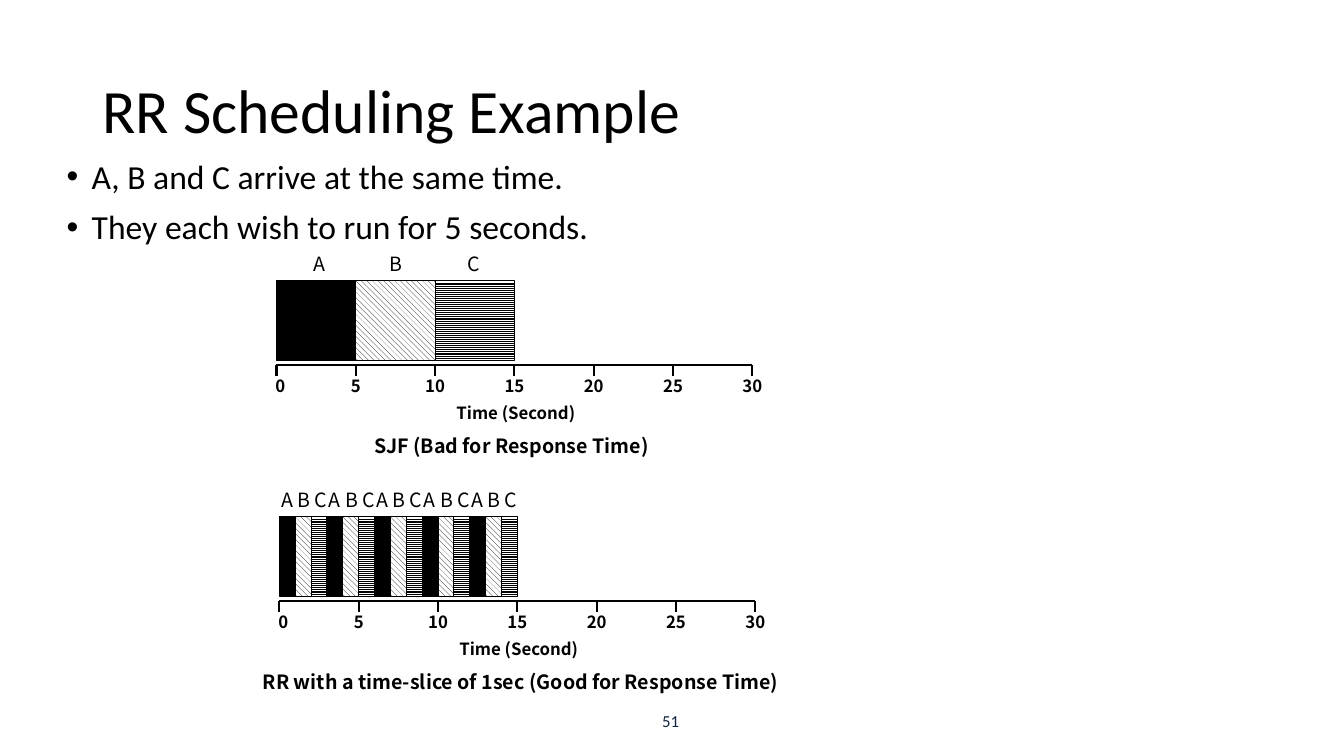
from dataclasses import dataclass
from itertools import product
from typing import Optional

from pptx import Presentation
from pptx.dml.color import RGBColor
from pptx.enum.dml import MSO_PATTERN as Pattern
from pptx.enum.shapes import MSO_CONNECTOR as Connector, MSO_SHAPE as Shape
from pptx.enum.text import MSO_ANCHOR as Anchor, MSO_AUTO_SIZE as AutoSize, PP_ALIGN as Align
from pptx.oxml.ns import qn
from pptx.shapes.shapetree import GroupShapes
from pptx.text.text import _Paragraph as Paragraph
from pptx.util import Pt

COLORS = {"ink": "000000", "paper": "FFFFFF", "number": "0F243E"}
BODY_FONT, CHART_FONT = "Calibri", "Noto Sans CJK KR"
SECOND = 11.33
AXIS_SECONDS = 30
BAR_HEIGHT = 56.7


@dataclass(frozen=True)
class Tick:
    second: int
    width: float
    shift: float = 0


@dataclass(frozen=True)
class Job:
    name: str
    pattern: Optional[Pattern]


@dataclass(frozen=True)
class Timeline:
    left: float
    axis: float
    slice_seconds: int
    rounds: int
    label_start: float
    label_step: float
    caption: str
    caption_center: float
    caption_width: float


TICKS = (
    Tick(0, 17.3, 2.8),
    *(Tick(second, 34) for second in (5, 10, 15, 20)),
    *(Tick(second, 39.6) for second in (25, 30)),
)
JOBS = (
    Job("A", None),
    Job("B", Pattern.WIDE_DOWNWARD_DIAGONAL),
    Job("C", Pattern.LIGHT_HORIZONTAL),
)
TIMELINES = (
    Timeline(197.5, 260.8, 5, 1, 30.6, 55,
             "SJF (Bad for Response Time)", 365.4, 298.8),
    Timeline(199.6, 429.4, 1, 5, 5.4, 12.1,
             "RR with a time-slice of 1sec (Good for Response Time)", 372, 386.6),
)


def color(name: str) -> RGBColor:
    """Look up a colour by its role."""
    return RGBColor.from_string(COLORS[name])


def add_run(p: Paragraph, text: str, size: float, font: str,
            tint: str = "ink", bold: bool = False) -> None:
    """Append one formatted run."""
    r = p.add_run()
    r.text = text
    r.font.size, r.font.name, r.font.bold = Pt(size), font, bold
    r.font.color.rgb = color(tint)


def add_label(shapes: GroupShapes, text: str, center: float, top: float,
              width: float, size: float, bold: bool = True) -> None:
    """Add a centred chart label."""
    s = shapes.add_textbox(Pt(center - width / 2), Pt(top), Pt(width), Pt(size * 1.75))
    tf = s.text_frame
    tf.word_wrap, tf.auto_size = True, AutoSize.SHAPE_TO_FIT_TEXT
    tf.margin_left = tf.margin_right = Pt(0)
    p = tf.paragraphs[0]
    p.alignment = Align.CENTER
    add_run(p, text, size, CHART_FONT, bold=bold)


def add_line(shapes: GroupShapes, x1: float, y1: float, x2: float, y2: float) -> None:
    """Add a plain axis line."""
    s = shapes.add_connector(Connector.STRAIGHT, Pt(x1), Pt(y1), Pt(x2), Pt(y2))
    s.line.width = Pt(1.5)
    s.line.color.rgb = color("ink")
    s._element.spPr.append(s._element.makeelement(qn("a:effectLst"), {}))


def add_bar(shapes: GroupShapes, job: Job, left: float, top: float, width: float) -> None:
    """Add the bar for one time slice of a job."""
    s = shapes.add_shape(Shape.RECTANGLE, Pt(left), Pt(top), Pt(width), Pt(BAR_HEIGHT))
    s.shadow.inherit = False
    if job.pattern is None:
        s.fill.solid()
    else:
        s.fill.patterned()
        s.fill.pattern = job.pattern
        s.fill.back_color.rgb = color("paper")
    s.fill.fore_color.rgb = color("ink")
    s.line.color.rgb = color("ink")
    s.line.width = Pt(0.75)


def add_timeline(shapes: GroupShapes, t: Timeline) -> None:
    """Draw the axis, bars, labels and caption of one schedule."""
    length = AXIS_SECONDS * SECOND
    add_line(shapes, t.left, t.axis, t.left + length, t.axis)
    for tick in TICKS:
        x = t.left + tick.second * SECOND
        add_line(shapes, x, t.axis, x, t.axis + 7.6)
        add_label(shapes, str(tick.second), x + tick.shift, t.axis + 4.2, tick.width, 12)
    add_label(shapes, "Time (Second)", t.left + length / 2 + 1, t.axis + 23, 118.8, 12)
    width = t.slice_seconds * SECOND
    for turn, (i, job) in product(range(t.rounds), enumerate(JOBS)):
        left = t.left + turn * len(JOBS) * width
        add_bar(shapes, job, left + i * width, t.axis - 60.2, width)
        add_label(shapes, job.name, left + t.label_start + i * t.label_step,
                  t.axis - 84.3, 28, 14, bold=False)
    add_label(shapes, t.caption, t.caption_center, t.axis + 45.5, t.caption_width, 14)


def main() -> None:
    """Build and save the slide."""
    prs = Presentation()
    prs.slide_width, prs.slide_height = Pt(960), Pt(540)
    sp = prs.slides.add_slide(prs.slide_layouts[1])

    s = sp.shapes.title
    s.left, s.top, s.width, s.height = Pt(66), Pt(28.8), Pt(828), Pt(104.4)
    s.text_frame.vertical_anchor = Anchor.MIDDLE
    p = s.text_frame.paragraphs[0]
    p.alignment, p.line_spacing = Align.LEFT, 0.9
    add_run(p, "RR Scheduling Example", 44, BODY_FONT)

    s = sp.placeholders[1]
    s.left, s.top, s.width, s.height = Pt(40.3), Pt(110.9), Pt(828), Pt(342.7)
    tf = s.text_frame
    tf.auto_size = AutoSize.NONE
    bullets = ("A, B and C arrive at the same time.", "They each wish to run for 5 seconds.")
    for i, text in enumerate(bullets):
        p = tf.add_paragraph() if i else tf.paragraphs[0]
        p.line_spacing, p.space_before = 0.9, Pt(10 if i else 0)
        pPr = p._p.get_or_add_pPr()
        pPr.set("marL", str(Pt(18)))
        pPr.set("indent", str(-Pt(18)))
        add_run(p, text, 24, BODY_FONT)

    s = sp.shapes.add_textbox(Pt(317), Pt(500.4), Pt(324), Pt(28.8))
    tf = s.text_frame
    tf.word_wrap, tf.vertical_anchor = True, Anchor.MIDDLE
    p = tf.paragraphs[0]
    p.alignment = Align.CENTER
    add_run(p, "51", 12, BODY_FONT, "number")

    for t in TIMELINES:
        add_timeline(sp.shapes.add_group_shape().shapes, t)
    prs.save("out.pptx")


if __name__ == "__main__":
    main()
